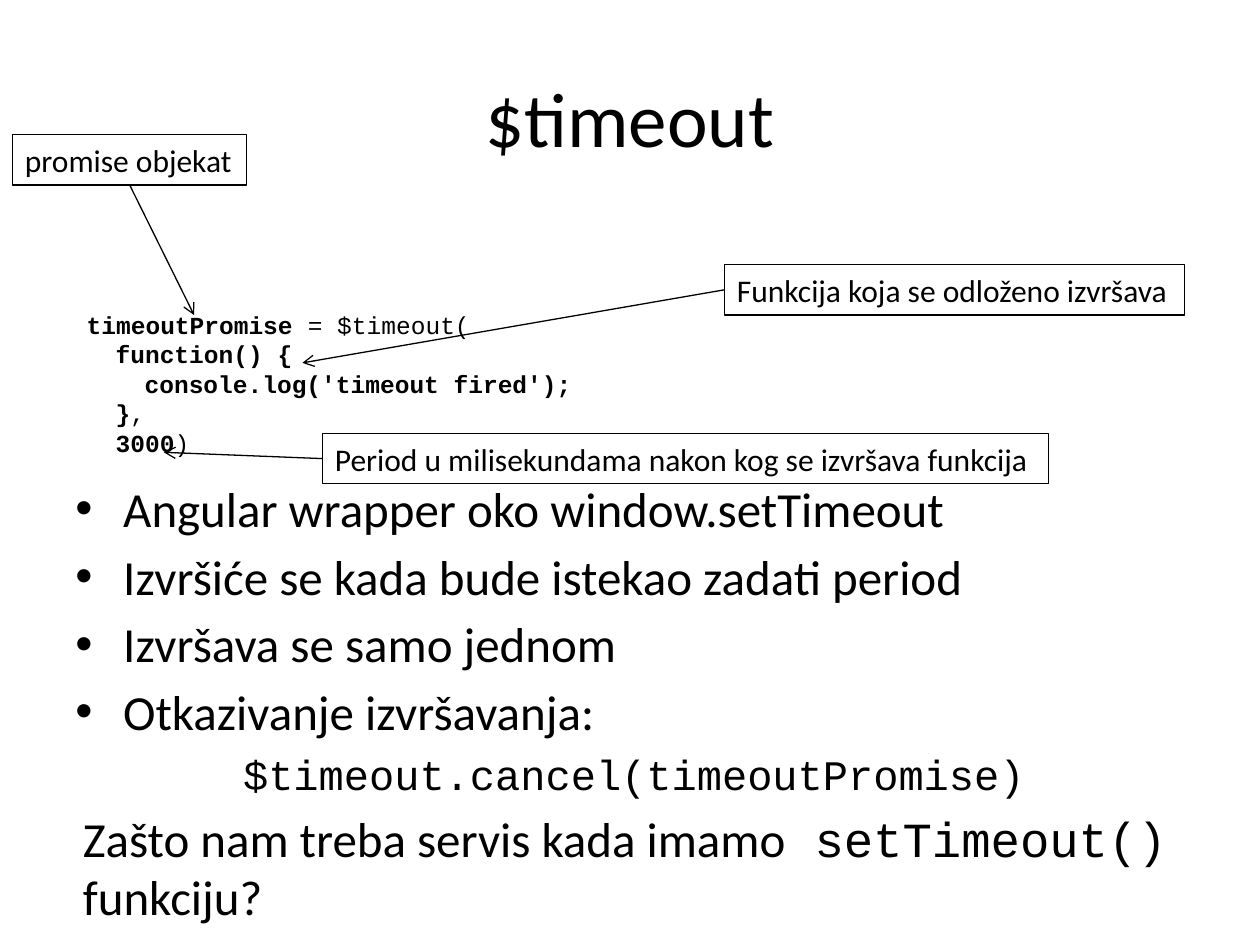
from pptx import Presentation
from pptx.dml.color import RGBColor
from pptx.enum.shapes import MSO_CONNECTOR as Conn, MSO_SHAPE as Shape
from pptx.enum.text import MSO_ANCHOR as Anchor, MSO_AUTO_SIZE as Fit, PP_ALIGN as Align
from pptx.oxml.ns import qn
from pptx.util import Inches, Pt
from lxml import etree

BLACK = RGBColor(0, 0, 0)
SANS, MONO = "Calibri", "Courier New"
LEFT, BOTTOM = 1, 2


def write(par, text, **form):
    font = par.add_run().font
    par.runs[-1].text = text
    font.color.rgb = BLACK
    for key, val in form.items():
        setattr(font, key, val)


def indent(par, left, first=0, mark=None):
    """Set the margin and first-line offset in inches, and a bullet if given."""
    props = par._p.get_or_add_pPr()
    props.set("marL", str(Inches(left)))
    props.set("indent", str(Inches(first)))
    if mark:
        etree.SubElement(props, qn("a:buFont")).set("typeface", "Arial")
        etree.SubElement(props, qn("a:buChar")).set("char", mark)


prs = Presentation()
prs.slide_width, prs.slide_height = Inches(10), Inches(7.5)
slide = prs.slides.add_slide(prs.slide_layouts[5])
shapes = slide.shapes

# Title
title = shapes.title
title.left, title.top = Inches(0.5), Inches(0.3)
title.width, title.height = Inches(9), Inches(1.25)
frame = title.text_frame
frame.vertical_anchor = Anchor.MIDDLE
par = frame.paragraphs[0]
par.alignment = Align.CENTER
write(par, "$timeout", size=Pt(44), name=SANS)

# Main points, then the cancel call and the closing question
points = [
    "Angular wrapper oko window.setTimeout",
    "Izvršiće se kada bude istekao zadati period",
    "Izvršava se samo jednom",
    "Otkazivanje izvršavanja:",
]
body = shapes.add_textbox(Inches(0.5), Inches(3.75), Inches(9), Inches(3.86))
frame = body.text_frame
frame.word_wrap = True
pars = frame.paragraphs + tuple(frame.add_paragraph() for _ in range(5))
for par in pars:
    par.space_before = Pt(5)
for par, text in zip(pars, points):
    indent(par, 0.38, -0.38, "•")
    write(par, text, size=Pt(28), name=SANS)

call, ask = pars[-2:]
for par in (call, ask):
    indent(par, 0.06)
call.alignment = Align.CENTER
write(call, "$timeout.cancel(timeoutPromise)", size=Pt(24), name=MONO)
for text, face in [
    ("Zašto nam treba servis kada imamo", SANS),
    (" setTimeout() ", MONO),
    ("funkciju?", SANS),
]:
    write(ask, text, size=Pt(28), name=face)

# Code: indent level, bold part, plain part
code = [
    (0, "timeoutPromise", " = $timeout("),
    (1, "function() {", ""),
    (2, "console.log('timeout fired');", ""),
    (1, "}", ","),
    (1, "3000", ")"),
]
box = shapes.add_textbox(Inches(0.59), Inches(2.41), Inches(8.43), Inches(1.28))
frame = box.text_frame
frame.word_wrap = True
for row, (level, bold, plain) in enumerate(code):
    par = frame.add_paragraph() if row else frame.paragraphs[0]
    indent(par, level * 0.23)
    for text, heavy in ((bold, True), (plain, False)):
        if text:
            write(par, text, size=Pt(14), name=MONO, bold=heavy)

# Callouts: text, left, top, width, side the arrow leaves, arrow tip
notes = [
    ("Funkcija koja se odloženo izvršava", 5.75, 2.1, 3.65, LEFT, (2.4, 2.88)),
    ("Period u milisekundama nakon kog se izvršava funkcija",
     2.56, 3.44, 5.76, LEFT, (1.3, 3.59)),
    ("promise objekat", 0.1, 1.07, 1.86, BOTTOM, (1.54, 2.5)),
]
for text, x, y, wide, side, tip in notes:
    note = shapes.add_shape(Shape.RECTANGLE, Inches(x), Inches(y), Inches(wide), Inches(0.4))
    note.shadow.inherit = False
    note.fill.background()
    frame = note.text_frame
    frame.word_wrap = False
    frame.auto_size = Fit.SHAPE_TO_FIT_TEXT
    frame.vertical_anchor = Anchor.TOP
    par = frame.paragraphs[0]
    par.alignment = Align.LEFT
    write(par, text, size=Pt(18), name=SANS)

    end = [Inches(n) for n in tip]
    arrow = shapes.add_connector(Conn.STRAIGHT, Inches(x), Inches(y), *end)
    arrow.begin_connect(note, side)
    for item in (note, arrow):
        item.line.color.rgb = BLACK
        item.line.width = Pt(0.75)
    etree.SubElement(arrow.line._get_or_add_ln(), qn("a:tailEnd")).set("type", "arrow")
    etree.SubElement(arrow._element.spPr, qn("a:effectLst"))

prs.save("out.pptx")
